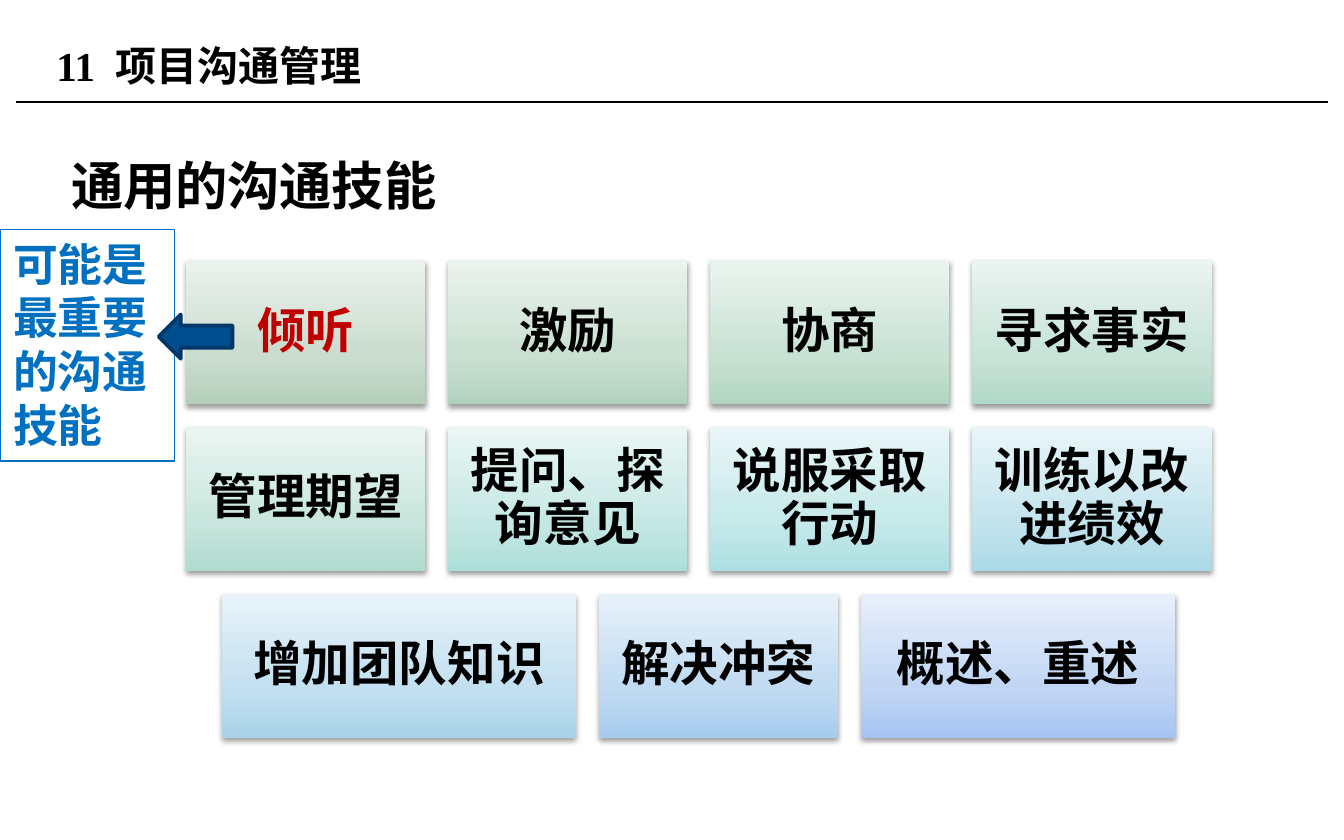
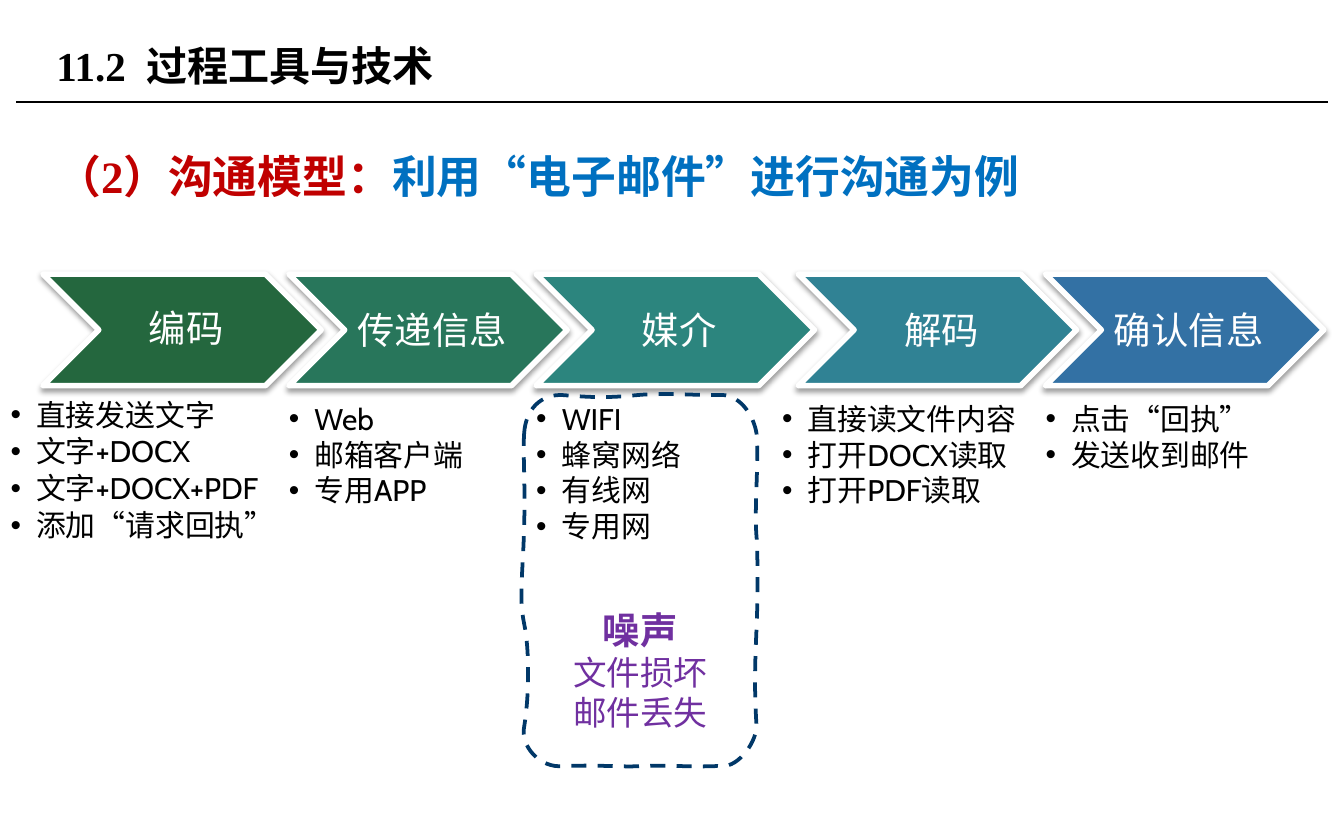
from copy import deepcopy

from lxml import etree
from pptx import Presentation
from pptx import util as u
from pptx.dml.color import RGBColor
from pptx.enum import dml, shapes, text
from pptx.oxml import ns

Inches, Pt = u.Inches, u.Pt
SERIF, SANS = "Times New Roman", "Cabin"

BLACK = RGBColor(0x00, 0x00, 0x00)
WHITE = RGBColor(0xFF, 0xFF, 0xFF)
RED = RGBColor(0xC0, 0x00, 0x00)
BLUE = RGBColor(0x00, 0x70, 0xC0)
PURPLE = RGBColor(0x70, 0x30, 0xA0)
ARROW_BLUE = RGBColor(0x01, 0x4C, 0x8D)
NAVY = RGBColor(0x01, 0x38, 0x68)

# Each skill: wording, card width, colour at the foot of the card
SKILL_ROWS = [
    [("倾听", 1.78, RGBColor(0xB5, 0xCF, 0xBB)),
     ("激励", 1.78, RGBColor(0xB3, 0xD2, 0xBE)),
     ("协商", 1.78, RGBColor(0xB2, 0xD5, 0xC2)),
     ("寻求事实", 1.78, RGBColor(0xB1, 0xD8, 0xC8))],
    [("管理期望", 1.78, RGBColor(0xB0, 0xDB, 0xCF)),
     ("提问、探询意见", 1.78, RGBColor(0xAE, 0xDE, 0xD8)),
     ("说服采取行动", 1.78, RGBColor(0xAD, 0xDF, 0xE1)),
     ("训练以改进绩效", 1.78, RGBColor(0xAB, 0xD9, 0xE5))],
    [("增加团队知识", 2.63, RGBColor(0xA9, 0xD3, 0xE9)),
     ("解决冲突", 1.78, RGBColor(0xA7, 0xCC, 0xED)),
     ("概述、重述", 2.34, RGBColor(0xA6, 0xC4, 0xF1))],
]
KEY_SKILL = "倾听"

# Each step: wording, colour, chevron left, list left, list width, list items
STEPS = [
    ("编码", RGBColor(0x24, 0x67, 0x3E), 0.32, 0.08, 2.13,
     ["直接发送文字", "文字+DOCX", "文字+DOCX+PDF", "添加“请求回执”"]),
    ("传递信息", RGBColor(0x28, 0x76, 0x5B), 2.15, 2.15, 1.66,
     ["Web", "邮箱客户端", "专用APP"]),
    ("媒介", RGBColor(0x2C, 0x85, 0x7E), 3.99, 3.99, 1.66,
     ["WIFI", "蜂窝网络", "有线网", "专用网"]),
    ("解码", RGBColor(0x30, 0x82, 0x94), 5.94, 5.82, 1.9,
     ["直接读文件内容", "打开DOCX读取", "打开PDF读取"]),
    ("确认信息", RGBColor(0x33, 0x71, 0xA4), 7.78, 7.78, 1.66,
     ["点击“回执”", "发送收到邮件"]),
]

# Bezier segments (two controls, one end) of the wavy frame, in inches from its corner
NOISE_START = (0, 0.29)
NOISE_CURVES = [
    ((0.01, 0.1), (0.13, -0.01), (0.29, 0)),
    ((0.53, 0.02), (0.63, 0.02), (0.84, 0)),
    ((1.06, -0.02), (1.21, 0), (1.44, 0)),
    ((1.6, -0.02), (1.71, 0.15), (1.73, 0.29)),
    ((1.75, 0.45), (1.71, 0.85), (1.73, 1.06)),
    ((1.74, 1.27), (1.74, 1.47), (1.73, 1.72)),
    ((1.72, 1.97), (1.71, 2.16), (1.73, 2.47)),
    ((1.72, 2.6), (1.58, 2.79), (1.44, 2.76)),
    ((1.21, 2.77), (1.07, 2.75), (0.89, 2.76)),
    ((0.71, 2.77), (0.58, 2.75), (0.29, 2.76)),
    ((0.12, 2.78), (-0.03, 2.61), (0, 2.47)),
    ((0.04, 2.23), (0.04, 1.89), (0, 1.7)),
    ((-0.04, 1.51), (-0.01, 1.34), (0, 0.99)),
    ((0.01, 0.64), (-0.01, 0.43), NOISE_START),
]


def write(frame, wording, *, size, color=BLACK, font=SERIF, bold=False,
          align=text.PP_ALIGN.LEFT, spacing=None, after=None, bullet=False, joined=False):
    """Add a paragraph, or with joined a further run of the last one."""
    paragraph = frame.paragraphs[-1]
    if paragraph.runs and not joined:
        paragraph = frame.add_paragraph()
    run = paragraph.add_run()
    run.text = wording
    run.font.size, run.font.name, run.font.bold = Pt(size), font, bold
    run.font.color.rgb = color
    if joined:
        return
    paragraph.alignment = align
    if spacing:
        paragraph.line_spacing = spacing
    if after is not None:
        paragraph.space_after = Pt(after)
    if bullet:
        properties = paragraph._p.get_or_add_pPr()
        properties.set("marL", str(Inches(0.19)))
        properties.set("indent", str(Inches(-0.19)))
        etree.SubElement(properties, ns.qn("a:buFont"), typeface="Arial")
        etree.SubElement(properties, ns.qn("a:buChar"), char="•")


def set_frame(frame, anchor=text.MSO_ANCHOR.TOP, insets=(0.1, 0.05, 0.1, 0.05)):
    frame.word_wrap = True
    frame.auto_size = text.MSO_AUTO_SIZE.NONE
    frame.vertical_anchor = anchor
    (frame.margin_left, frame.margin_top,
     frame.margin_right, frame.margin_bottom) = map(Inches, insets)
    return frame


def add_box(slide, box, **frame_format):
    return set_frame(slide.shapes.add_textbox(*map(Inches, box)).text_frame, **frame_format)


def add_plain_shape(slide, preset, box, fill=None, line=None, width=0.75):
    shape = slide.shapes.add_shape(preset, *map(Inches, box))
    return style_shape(shape, fill, line, width)


def style_shape(shape, fill, line, width):
    shape.shadow.inherit = False
    if fill is None:
        shape.fill.background()
    else:
        shape.fill.solid()
        shape.fill.fore_color.rgb = fill
    if line is None:
        shape.line.fill.background()
    else:
        shape.line.color.rgb = line
        shape.line.width = Pt(width)
    return shape


def cast_shadow(shape):
    effects = shape._element.spPr.find(ns.qn("a:effectLst"))
    shadow = etree.SubElement(effects, ns.qn("a:outerShdw"), blurRad=str(Pt(3.1)),
                              dist=str(Pt(1.6)), dir="5400000", rotWithShape="0")
    color = etree.SubElement(shadow, ns.qn("a:srgbClr"), val=str(BLACK))
    etree.SubElement(color, ns.qn("a:alpha"), val="38000")


def tint(color, share):
    """Mix a colour with white."""
    return RGBColor(*(round(part + (255 - part) * share) for part in color))


def fade_upward(shape, color):
    shape.fill.gradient()
    shape.fill.gradient_angle = 90
    stop_list = shape._element.spPr.find(".//" + ns.qn("a:gsLst"))
    stop_list.insert(1, deepcopy(stop_list[0]))
    for stop, (position, share) in zip(shape.fill.gradient_stops,
                                       [(0, 0), (0.35, 0.3), (1, 0.73)]):
        stop.position = position
        stop.color.rgb = tint(color, share)


def add_titled_slide(deck, title):
    slide = deck.slides.add_slide(deck.slide_layouts[5])
    rule = slide.shapes.add_connector(shapes.MSO_CONNECTOR.STRAIGHT, Inches(0.12),
                                      Inches(0.76), Inches(9.88), Inches(0.76))
    rule.line.color.rgb = BLACK
    rule.line.width = Pt(0.75)
    etree.SubElement(rule._element.spPr, ns.qn("a:effectLst"))
    heading = slide.shapes.title
    heading.left, heading.top, heading.width, heading.height = map(
        Inches, (0.32, 0.13, 6.38, 0.71))
    write(set_frame(heading.text_frame, text.MSO_ANCHOR.MIDDLE), title, size=22, bold=True)
    return slide


def add_skill_cards(slide, left, top, width):
    """Place rows of cards, each row centred in the given width."""
    height, gap, row_step = 1.07, 0.17, 1.24
    for index, row in enumerate(SKILL_ROWS):
        row_width = sum(card[1] for card in row) + gap * (len(row) - 1)
        x = left + (width - row_width) / 2
        for skill, card_width, color in row:
            card = add_plain_shape(slide, shapes.MSO_SHAPE.RECTANGLE,
                                   (x, top + index * row_step, card_width, height))
            fade_upward(card, color)
            cast_shadow(card)
            frame = set_frame(card.text_frame, text.MSO_ANCHOR.MIDDLE, (0.11,) * 4)
            write(frame, skill, size=26, bold=True, spacing=0.9,
                  color=RED if skill == KEY_SKILL else BLACK, align=text.PP_ALIGN.CENTER)
            x += card_width + gap


def add_key_skill_note(slide, left, top):
    note = add_plain_shape(slide, shapes.MSO_SHAPE.RECTANGLE, (left, top, 1.3, 1.72), line=BLUE)
    write(set_frame(note.text_frame), "可能是最重要的沟通技能", size=24, color=BLUE, bold=True)
    arrow = add_plain_shape(slide, shapes.MSO_SHAPE.DOWN_ARROW,
                            (left + 1.29, top + 0.52, 0.33, 0.55), ARROW_BLUE, NAVY, 2)
    arrow.rotation = 90


def add_steps(slide, top):
    for index, (step, color, left, list_left, list_width, items) in enumerate(STEPS):
        spacing, after = (0.9, 2.4) if index == 0 else (None, None)
        chevron = add_plain_shape(slide, shapes.MSO_SHAPE.CHEVRON, (left, top, 2.07, 0.83),
                                  color, WHITE, 3)
        cast_shadow(chevron)
        frame = set_frame(chevron.text_frame, text.MSO_ANCHOR.MIDDLE, (0.09, 0.03, 0.03, 0.03))
        write(frame, step, size=20, color=WHITE, font=SANS, spacing=spacing,
              align=text.PP_ALIGN.CENTER)
        frame = add_box(slide, (list_left, top + 0.94, list_width, 1.56), insets=(0,) * 4)
        for item in items:
            write(frame, item, size=16, font=SANS, spacing=spacing, after=after, bullet=True)


def bend_sides(shape, curves):
    """Turn each straight side of a freeform into the matching Bezier curve."""
    sides = list(shape._element.spPr.iter(ns.qn("a:lnTo")))
    for side, curve in zip(sides, curves):
        side.tag = ns.qn("a:cubicBezTo")
        side.clear()
        for x, y in curve:
            etree.SubElement(side, ns.qn("a:pt"), x=str(Inches(x)), y=str(Inches(y)))


def add_noise_frame(slide, left, top):
    def place(point):
        return Inches(left + point[0]), Inches(top + point[1])

    outline = slide.shapes.build_freeform(*place(NOISE_START))
    outline.add_line_segments([place(curve[-1]) for curve in NOISE_CURVES])
    noise = style_shape(outline.convert_to_shape(), None, NAVY, 2)
    bend_sides(noise, NOISE_CURVES)
    noise.line.dash_style = dml.MSO_LINE.DASH
    frame = set_frame(noise.text_frame, text.MSO_ANCHOR.BOTTOM, (0.1, 0.05, 0.1, 0.25))
    for wording, size, bold in [("噪声", 20, True), ("文件损坏", 18, False),
                                ("邮件丢失", 18, False)]:
        write(frame, wording, size=size, bold=bold, color=PURPLE, font=SANS,
              align=text.PP_ALIGN.CENTER)


def build_skills_slide(deck):
    slide = add_titled_slide(deck, "11  项目沟通管理")
    write(add_box(slide, (0.43, 0.86, 8.98, 3.9)), "通用的沟通技能",
          size=28, bold=True, spacing=1.5)
    add_skill_cards(slide, 1.38, 1.94, 7.64)
    add_key_skill_note(slide, 0, 1.71)


def build_model_slide(deck):
    slide = add_titled_slide(deck, "11.2  过程工具与技术")
    frame = add_box(slide, (0.32, 0.86, 9.53, 3.9))
    write(frame, "（2）沟通模型：", size=24, color=RED, bold=True, spacing=1.5)
    write(frame, "利用“电子邮件”进行沟通为例", size=24, color=BLUE, font=SANS,
          bold=True, joined=True)
    add_steps(slide, 2.04)
    add_noise_frame(slide, 3.9, 2.94)


def main():
    deck = Presentation()
    deck.slide_width, deck.slide_height = Inches(10), Inches(6.25)
    build_skills_slide(deck)
    build_model_slide(deck)
    deck.save("out.pptx")


if __name__ == "__main__":
    main()
